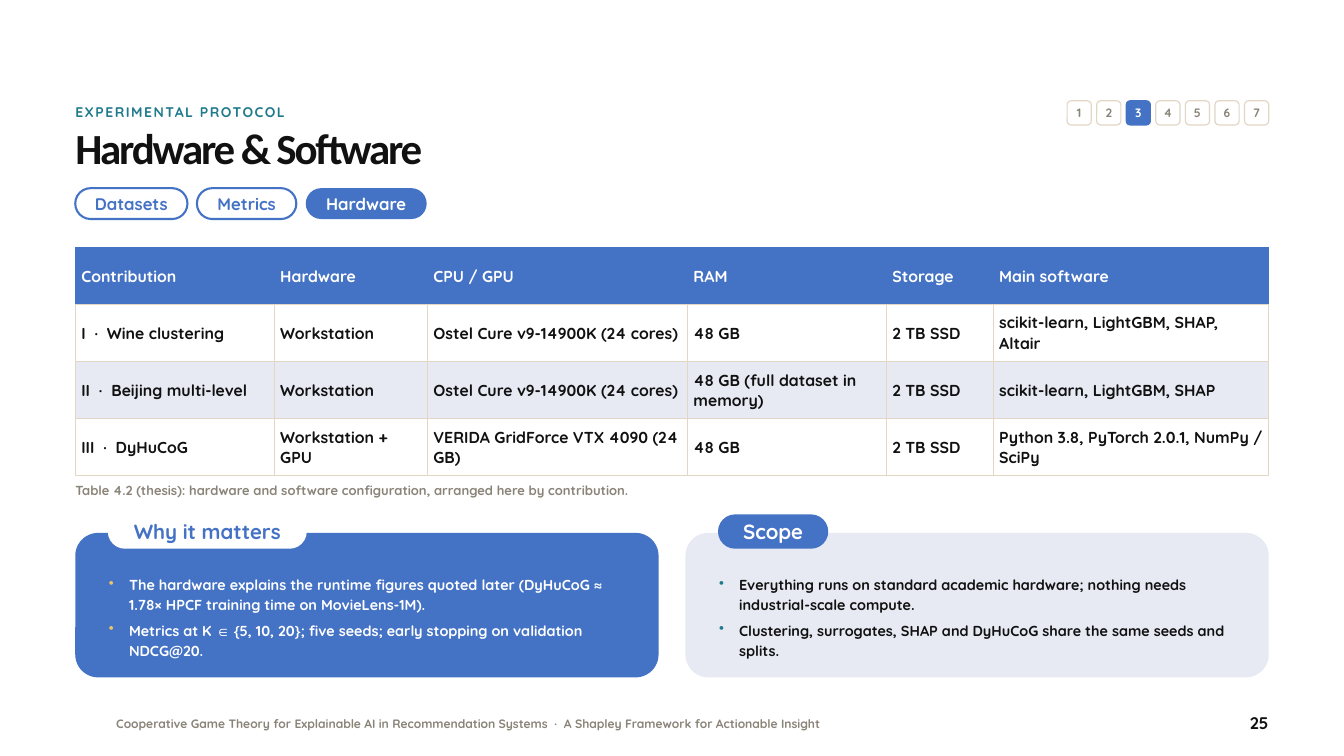
from lxml import etree
from pptx import Presentation
from pptx.dml.color import RGBColor
from pptx.enum.shapes import MSO_SHAPE
from pptx.enum.text import MSO_ANCHOR, PP_ALIGN
from pptx.oxml.ns import qn
from pptx.util import Inches, Pt

ROUNDED = MSO_SHAPE.ROUNDED_RECTANGLE
LEFT, CENTER, RIGHT = PP_ALIGN.LEFT, PP_ALIGN.CENTER, PP_ALIGN.RIGHT
TOP, MIDDLE = MSO_ANCHOR.TOP, MSO_ANCHOR.MIDDLE
FONT, TITLE_FONT, SYMBOL_FONT = "Quicksand", "Calibri", "Times New Roman"
COLORS = {
    "blue": "4472C4",
    "pale": "E7EAF3",
    "white": "FFFFFF",
    "ink": "111111",
    "gray": "8A8378",
    "sand": "E3D6C4",
    "teal": "1F7A8C",
    "gold": "ECC665",
}
MARGIN, CONTENT_WIDTH = 1.12, 17.75

SECTION_COUNT, CURRENT_SECTION = 7, 3
TABS = [("Datasets", 1.67), ("Metrics", 1.48), ("Hardware", 1.8)]
CURRENT_TAB = "Hardware"
COLUMN_WIDTHS = [2.96, 2.28, 3.87, 2.96, 1.59, 4.1]
ROW_HEIGHT = 0.85
CPU = "Ostel Cure v9-14900K (24 cores)"
ROWS = [
    ["Contribution", "Hardware", "CPU / GPU", "RAM", "Storage", "Main software"],
    ["I  ·  Wine clustering", "Workstation", CPU, "48 GB", "2 TB SSD",
     "scikit-learn, LightGBM, SHAP, Altair"],
    ["II  ·  Beijing multi-level", "Workstation", CPU,
     "48 GB (full dataset in memory)", "2 TB SSD", "scikit-learn, LightGBM, SHAP"],
    ["III  ·  DyHuCoG", "Workstation + GPU", "VERIDA GridForce VTX 4090 (24 GB)",
     "48 GB", "2 TB SSD", "Python 3.8, PyTorch 2.0.1, NumPy / SciPy"],
]
WHY_POINTS = [
    "The hardware explains the runtime figures quoted later "
    "(DyHuCoG ≈ 1.78× HPCF training time on MovieLens-1M).",
    [("Metrics at K ", FONT), ("∈ ", SYMBOL_FONT),
     ("{5, 10, 20}; five seeds; early stopping on validation NDCG@20.", FONT)],
]
SCOPE_POINTS = [
    "Everything runs on standard academic hardware; nothing needs industrial-scale compute.",
    "Clustering, surrogates, SHAP and DyHuCoG share the same seeds and splits.",
]


def rgb(name):
    return RGBColor.from_string(COLORS[name])


def add_color(parent, name):
    etree.SubElement(parent, qn("a:srgbClr"), val=COLORS[name])


def add_bullet(para, color):
    properties = para._p.get_or_add_pPr()
    properties.set("marL", str(Inches(0.3)))
    properties.set("indent", str(-Inches(0.3)))
    add_color(etree.SubElement(properties, qn("a:buClr")), color)
    etree.SubElement(properties, qn("a:buChar"), char="•")


def write(frame, *paragraphs, size, leading, color="ink", font=FONT, align=LEFT,
          anchor=TOP, side=0, ends=0, tracking=0, bullet=None, gap=0):
    frame.word_wrap = True
    frame.vertical_anchor = anchor
    frame.margin_left = frame.margin_right = Inches(side)
    frame.margin_top = frame.margin_bottom = Inches(ends)
    for index, content in enumerate(paragraphs):
        para = frame.add_paragraph() if index else frame.paragraphs[0]
        if bullet:
            add_bullet(para, bullet)
        para.alignment = align
        para.line_spacing = Pt(leading)
        if index and gap:
            para.space_before = Pt(gap)
        spans = [(content, font)] if isinstance(content, str) else content
        for text, span_font in spans:
            span = para.add_run()
            span.text = text
            span.font.name = span_font
            span.font.size = Pt(size)
            span.font.bold = True
            span.font.color.rgb = rgb(color)
            if tracking:
                span.font._element.set("spc", str(round(tracking * 100)))


class SlideBuilder:
    def __init__(self, deck):
        self.slide = deck.slides.add_slide(deck.slide_layouts[6])

    def text(self, left, top, width, height, *paragraphs, **style):
        box = self.slide.shapes.add_textbox(
            Inches(left), Inches(top), Inches(width), Inches(height))
        write(box.text_frame, *paragraphs, **style)

    def rounded(self, left, top, width, height, corner, fill=None, line=None, weight=2.25):
        shape = self.slide.shapes.add_shape(
            ROUNDED, Inches(left), Inches(top), Inches(width), Inches(height))
        shape.shadow.inherit = False
        shape.adjustments[0] = corner
        if fill:
            shape.fill.solid()
            shape.fill.fore_color.rgb = rgb(fill)
        else:
            shape.fill.background()
        if line:
            shape.line.color.rgb = rgb(line)
            shape.line.width = Pt(weight)
        else:
            shape.line.fill.background()
        return shape

    def pill(self, left, top, width, height, label, size, color, fill=None, line=None):
        shape = self.rounded(left, top, width, height, 0.5, fill, line)
        write(shape.text_frame, label, size=size, leading=size * 1.2, color=color,
              align=CENTER, anchor=MIDDLE, side=0.05)

    def section_marker(self, left, top, number, active):
        side = 0.36
        shape = self.rounded(left, top, side, side, 0.167, "blue" if active else "white",
                             "blue" if active else "sand", 1.25)
        write(shape.text_frame, str(number), size=13, leading=15,
              color="white" if active else "gray", align=CENTER, anchor=MIDDLE)

    def cell(self, cell, text, fill, color, border):
        cell.fill.solid()
        cell.fill.fore_color.rgb = rgb(fill)
        write(cell.text_frame, text, size=17, leading=22.1, color=color)
        cell.vertical_anchor = MIDDLE
        cell.margin_left = cell.margin_right = Inches(0.09)
        cell.margin_top = cell.margin_bottom = Inches(0.05)
        properties = cell._tc.get_or_add_tcPr()
        for index, edge in enumerate(("a:lnL", "a:lnR", "a:lnT", "a:lnB")):
            line = etree.Element(qn(edge), w=str(Pt(1)))
            add_color(etree.SubElement(line, qn("a:solidFill")), border)
            properties.insert(index, line)

    def table(self, left, top, rows, widths, row_height):
        table = self.slide.shapes.add_table(
            len(rows), len(widths), Inches(left), Inches(top),
            Inches(sum(widths)), Inches(row_height * len(rows))).table
        table.horz_banding = False
        for column, width in zip(table.columns, widths):
            column.width = Inches(width)
        for row_index, row in enumerate(rows):
            table.rows[row_index].height = Inches(row_height)
            if row_index == 0:
                style = ("blue", "white", "blue")
            else:
                style = ("white" if row_index % 2 else "pale", "ink", "sand")
            for column_index, text in enumerate(row):
                self.cell(table.cell(row_index, column_index), text, *style)

    def panel(self, left, title, title_width, points, fill, ink, badge, badge_ink, bullet):
        self.rounded(left, 7.93, 8.68, 2.15, 0.158, fill)
        self.pill(left + 0.5, 7.67, title_width, 0.48, title, 22, badge_ink, badge, badge)
        self.text(left + 0.5, 8.53, 7.72, 1.35, *points, size=15.5, leading=21.7,
                  color=ink, bullet=bullet, gap=5.5)


def main():
    deck = Presentation()
    deck.slide_width, deck.slide_height = Inches(20), Inches(11.25)
    page = SlideBuilder(deck)

    page.text(MARGIN, 1.52, 14.15, 0.36, "EXPERIMENTAL PROTOCOL",
              size=15, leading=20, color="teal", tracking=1.6)
    for number in range(1, SECTION_COUNT + 1):
        page.section_marker(15.88 + 0.44 * (number - 1), 1.5, number,
                            number == CURRENT_SECTION)
    page.text(MARGIN, 1.88, CONTENT_WIDTH, 0.8, "Hardware & Software",
              size=46, leading=50.6, font=TITLE_FONT, tracking=-2.3)

    tab_left = MARGIN
    for label, width in TABS:
        if label == CURRENT_TAB:
            page.pill(tab_left, 2.8, width, 0.46, label, 18, "white", fill="blue")
        else:
            page.pill(tab_left, 2.8, width, 0.46, label, 18, "blue", line="blue")
        tab_left += width + 0.14

    page.table(MARGIN, 3.68, ROWS, COLUMN_WIDTHS, ROW_HEIGHT)
    page.text(MARGIN, 7.16, CONTENT_WIDTH, 0.45,
              "Table 4.2 (thesis): hardware and software configuration, "
              "arranged here by contribution.", size=14, leading=18, color="gray")

    page.panel(MARGIN, "Why it matters", 2.93, WHY_POINTS,
               "blue", "white", "white", "blue", "gold")
    page.panel(MARGIN + 9.08, "Scope", 1.61, SCOPE_POINTS,
               "pale", "ink", "blue", "white", "teal")

    page.text(1.73, 10.66, 14, 0.3,
              "Cooperative Game Theory for Explainable AI in Recommendation Systems  ·  "
              "A Shapley Framework for Actionable Insight", size=13, leading=16, color="gray")
    page.text(17.68, 10.6, 1.2, 0.36, "25", size=18, leading=22, align=RIGHT)
    deck.save("out.pptx")


if __name__ == "__main__":
    main()
